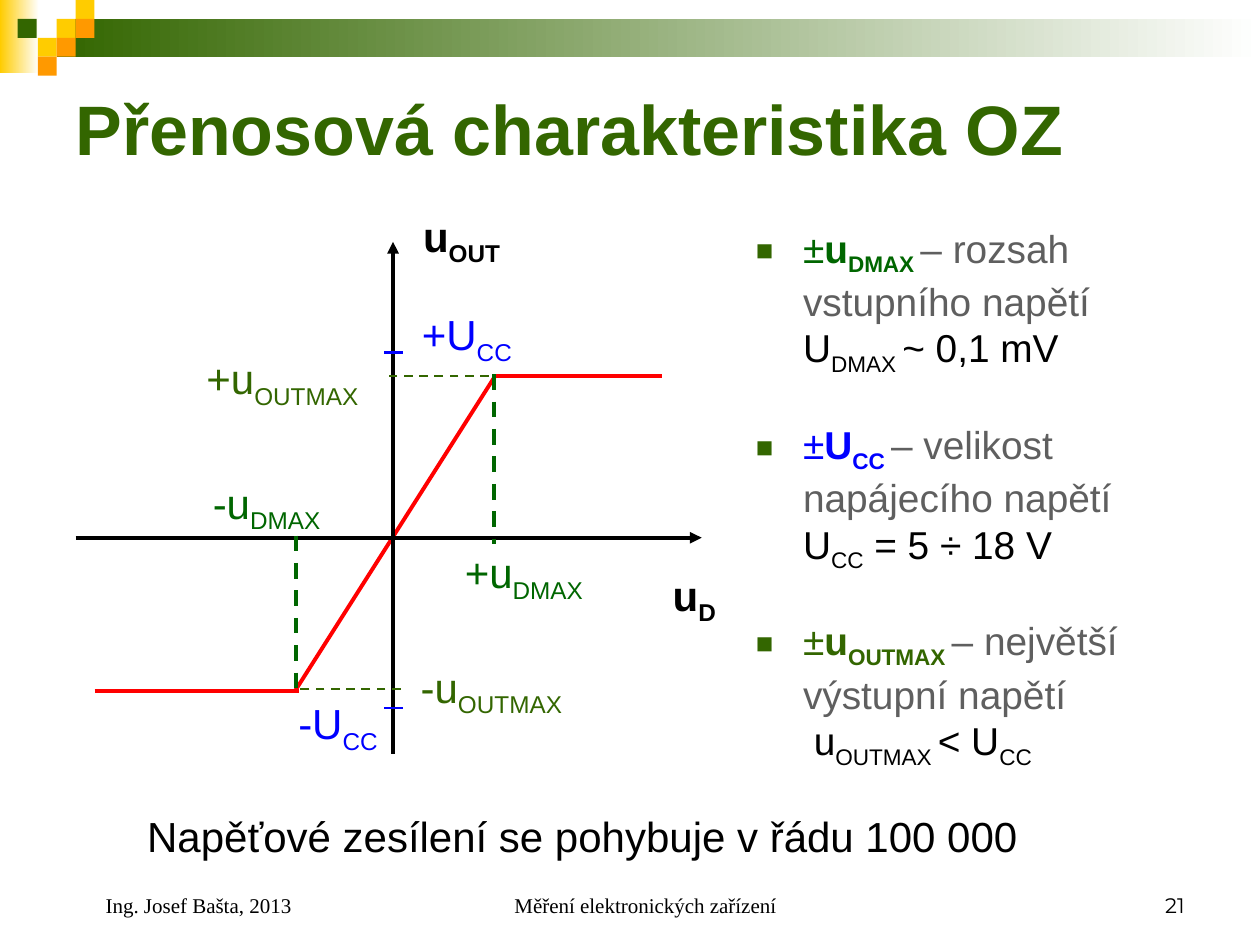
from lxml import etree
from pptx import Presentation
from pptx import util as u
from pptx.dml import color
from pptx.enum import dml, shapes, text
from pptx.oxml import ns

BLACK, GREY, BLUE = "000000", "5F5F5F", "0000FF"
OLIVE, GREEN, RED = "336600", "006600", "FF0000"
YELLOW, ORANGE, WHITE = "FFCC00", "FF9900", "FFFFFF"


def rgb(value):
    return color.RGBColor.from_string(value)


def add_xml(parent, tag, **attributes):
    return etree.SubElement(parent, ns.qn(tag), attributes)


def add_block(page, left, top, width, height, *colours):
    block = page.shapes.add_shape(
        shapes.MSO_SHAPE.RECTANGLE, u.Pt(left), u.Pt(top), u.Pt(width), u.Pt(height))
    block.shadow.inherit = False
    block.line.fill.background()
    if len(colours) == 1:
        block.fill.solid()
        block.fill.fore_color.rgb = rgb(colours[0])
        return
    block.fill.gradient()
    block.fill.gradient_angle = 180
    for stop, colour in zip(block.fill.gradient_stops, colours):
        stop.color.rgb = rgb(colour)


def add_line(page, start, end, colour, width, dashed=False, arrow=False):
    line = page.shapes.add_connector(
        shapes.MSO_CONNECTOR.STRAIGHT, *(u.Pt(value) for value in start + end))
    line.line.color.rgb = rgb(colour)
    line.line.width = u.Pt(width)
    if dashed:
        line.line.dash_style = dml.MSO_LINE.DASH
    if arrow:
        add_xml(line.line._get_or_add_ln(), "a:tailEnd", type="triangle")
    add_xml(line._element.spPr, "a:effectLst")


def add_box(page, left, top, width, height, wrap=True):
    box = page.shapes.add_textbox(u.Pt(left), u.Pt(top), u.Pt(width), u.Pt(height))
    box.text_frame.word_wrap = wrap
    return box.text_frame


def add_span(para, words, size, colour, bold=False, sub=False, font="Arial"):
    span = para.add_run()
    span.text = words
    span.font.name = font
    span.font.size = u.Pt(size)
    span.font.bold = bold
    span.font.color.rgb = rgb(colour)
    if sub:
        span.font._element.set("baseline", "-25000")


def add_label(page, left, top, width, symbol, index, colour, bold=False):
    para = add_box(page, left, top, width, 40, wrap=False).paragraphs[0]
    add_span(para, symbol, 24, colour, bold)
    add_span(para, index, 24, colour, bold, sub=True)


def add_bullet(para, symbol, index, colour, meaning, formula):
    props = para._p.get_or_add_pPr()
    props.set("marL", str(u.Pt(27)))
    props.set("indent", str(u.Pt(-27)))
    add_xml(add_xml(props, "a:buClr"), "a:srgbClr", val=OLIVE)
    add_xml(props, "a:buSzPct", val="75000")
    add_xml(props, "a:buFont", typeface="Arial")
    add_xml(props, "a:buChar", char="■")
    size = 22.2
    add_span(para, "±", size, colour)
    add_span(para, symbol, size, colour, bold=True)
    add_span(para, index + " ", size, colour, bold=True, sub=True)
    add_span(para, meaning, size, GREY)
    para.add_line_break()
    for words, sub in formula:
        add_span(para, words, size, BLACK, sub=sub)


def add_footer(page, left, width, words, align, font="Times New Roman", indent=0):
    frame = add_box(page, left, 492, width, 36)
    frame.vertical_anchor = text.MSO_ANCHOR.BOTTOM
    para = frame.paragraphs[0]
    para.alignment = align
    para._p.get_or_add_pPr().set("marL", str(u.Pt(indent)))
    add_span(para, words, 12, BLACK, font=font)


def add_decoration(page):
    add_block(page, 0, 0, 22.3, 42, WHITE, YELLOW)
    add_block(page, 32.4, 10.8, 687.6, 21.6, WHITE, OLIVE)
    tile = 10.8
    for column, row, colour in [(3, 1, YELLOW), (4, 0, YELLOW), (4, 1, ORANGE),
                                (2, 2, YELLOW), (3, 2, ORANGE), (2, 3, ORANGE)]:
        add_block(page, column * tile, row * tile, tile, tile, colour)
    add_block(page, 10.1, 10.8, tile, tile, OLIVE)


def add_title(page):
    title = page.shapes.title
    title.left, title.top, title.width, title.height = (
        u.Pt(36), u.Pt(36), u.Pt(648), u.Pt(74))
    title.text_frame.text = "Přenosová charakteristika OZ"
    title.text_frame.vertical_anchor = text.MSO_ANCHOR.MIDDLE
    para = title.text_frame.paragraphs[0]
    para.alignment = text.PP_ALIGN.LEFT
    font = para.runs[0].font
    font.name, font.size, font.bold = "Arial", u.Pt(40), True
    font.color.rgb = rgb(OLIVE)


def add_graph(page):
    add_line(page, (168.5, 395), (283, 214.8), RED, 2.25)
    add_line(page, (283, 215), (378, 215), RED, 2.25)
    add_line(page, (54, 394.7), (170.6, 394.7), RED, 2.25)
    add_line(page, (43.2, 307.3), (401, 307.3), BLACK, 2.25, arrow=True)
    add_line(page, (224.6, 430.6), (224.6, 138.2), BLACK, 2.25, arrow=True)
    add_line(page, (229, 393.8), (170.6, 393.8), OLIVE, 1.25, dashed=True)
    add_line(page, (279.4, 214.8), (221, 214.8), OLIVE, 1.25, dashed=True)
    for height in (201.6, 404.6):
        add_line(page, (219.6, height), (230.4, height), BLUE, 1.5)
    add_line(page, (282.2, 213.8), (282.2, 311), GREEN, 2.25, dashed=True)
    add_line(page, (169.2, 306), (169.2, 394.6), GREEN, 2.25, dashed=True)

    add_label(page, 234.7, 116.6, 80, "u", "OUT", BLACK, bold=True)
    add_label(page, 377.3, 321.8, 47.5, "u", "D", BLACK, bold=True)
    add_label(page, 110.9, 198, 119, "+u", "OUTMAX", OLIVE)
    add_label(page, 233.3, 374.4, 119, "-u", "OUTMAX", OLIVE)
    add_label(page, 234, 172.8, 72, "+U", "CC", BLUE)
    add_label(page, 163.4, 395.3, 72, "-U", "CC", BLUE)
    add_label(page, 258.5, 308.9, 99.4, "+u", "DMAX", GREEN)
    add_label(page, 114.5, 269.3, 99.4, "-u", "DMAX", GREEN)


def add_explanations(page):
    frame = add_box(page, 424.8, 124.6, 261.4, 329.8)
    bullets = [
        ("u", "DMAX", GREEN, "– rozsah vstupního napětí",
         [("U", False), ("DMAX ", True), ("~ 0,1 mV", False)]),
        ("U", "CC", BLUE, "– velikost napájecího napětí",
         [("U", False), ("CC", True), (" = 5 ÷ 18 V", False)]),
        ("u", "OUTMAX", OLIVE, "– největší výstupní napětí",
         [(" u", False), ("OUTMAX ", True), ("< U", False), ("CC", True)]),
    ]
    for number, bullet in enumerate(bullets):
        para = frame.add_paragraph() if number else frame.paragraphs[0]
        add_bullet(para, *bullet)
        if number:
            para.space_before = u.Pt(25)


def main():
    deck = Presentation()
    deck.slide_width, deck.slide_height = u.Pt(720), u.Pt(540)
    page = deck.slides.add_slide(deck.slide_layouts[5])
    add_decoration(page)
    add_title(page)
    add_explanations(page)
    add_graph(page)
    summary = add_box(page, 77, 459.4, 572.4, 36).paragraphs[0]
    add_span(summary, "Napěťové zesílení se pohybuje v řádu 100 000", 24, BLACK)
    align = text.PP_ALIGN
    add_footer(page, 246.2, 228.2, "Měření elektronických zařízení", align.CENTER, indent=17.3)
    add_footer(page, 516.2, 167.8, "21", align.RIGHT, font="Montserrat")
    add_footer(page, 36, 167.8, "Ing. Josef Bašta, 2013", align.LEFT, indent=17.3)
    deck.save("out.pptx")


if __name__ == "__main__":
    main()
